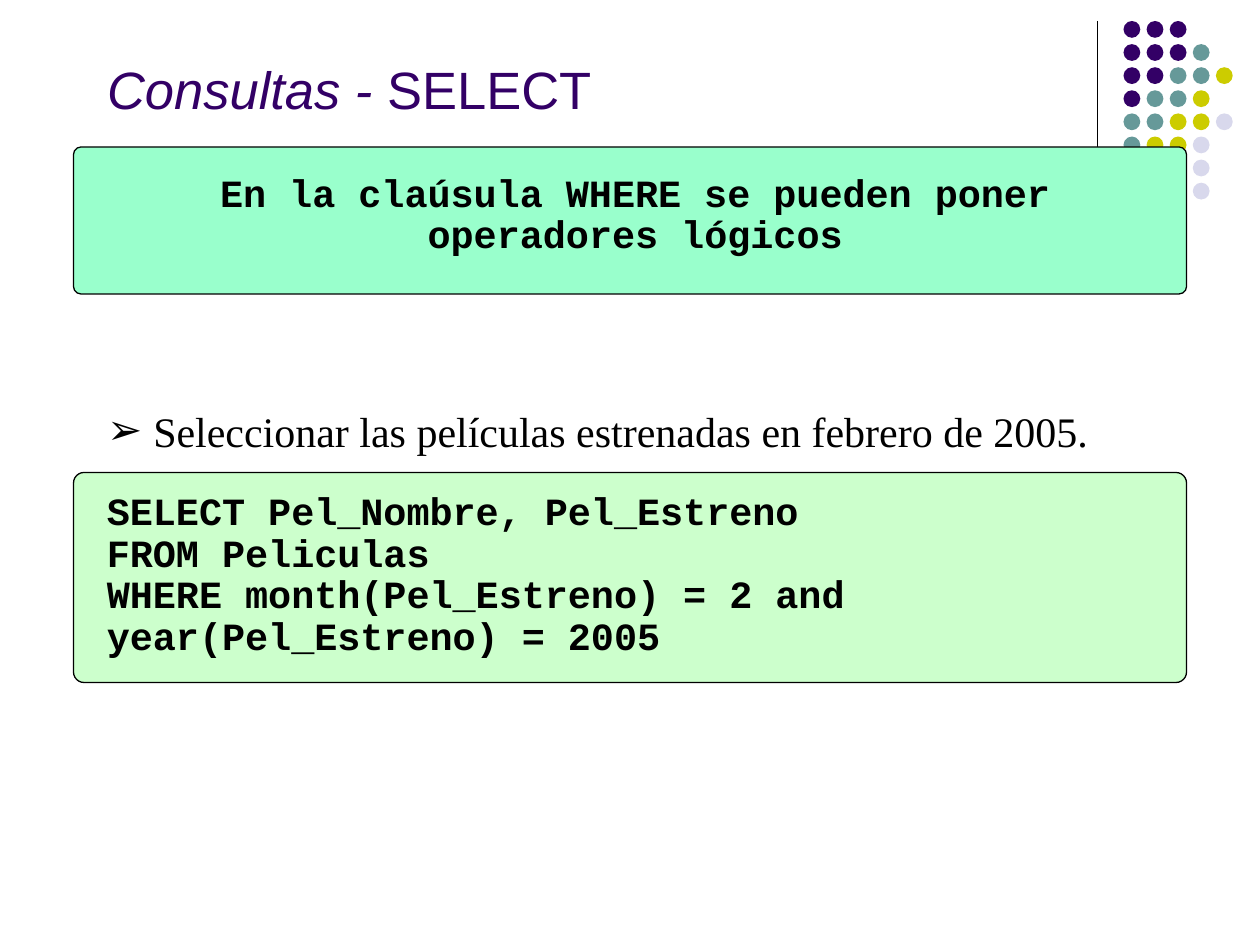
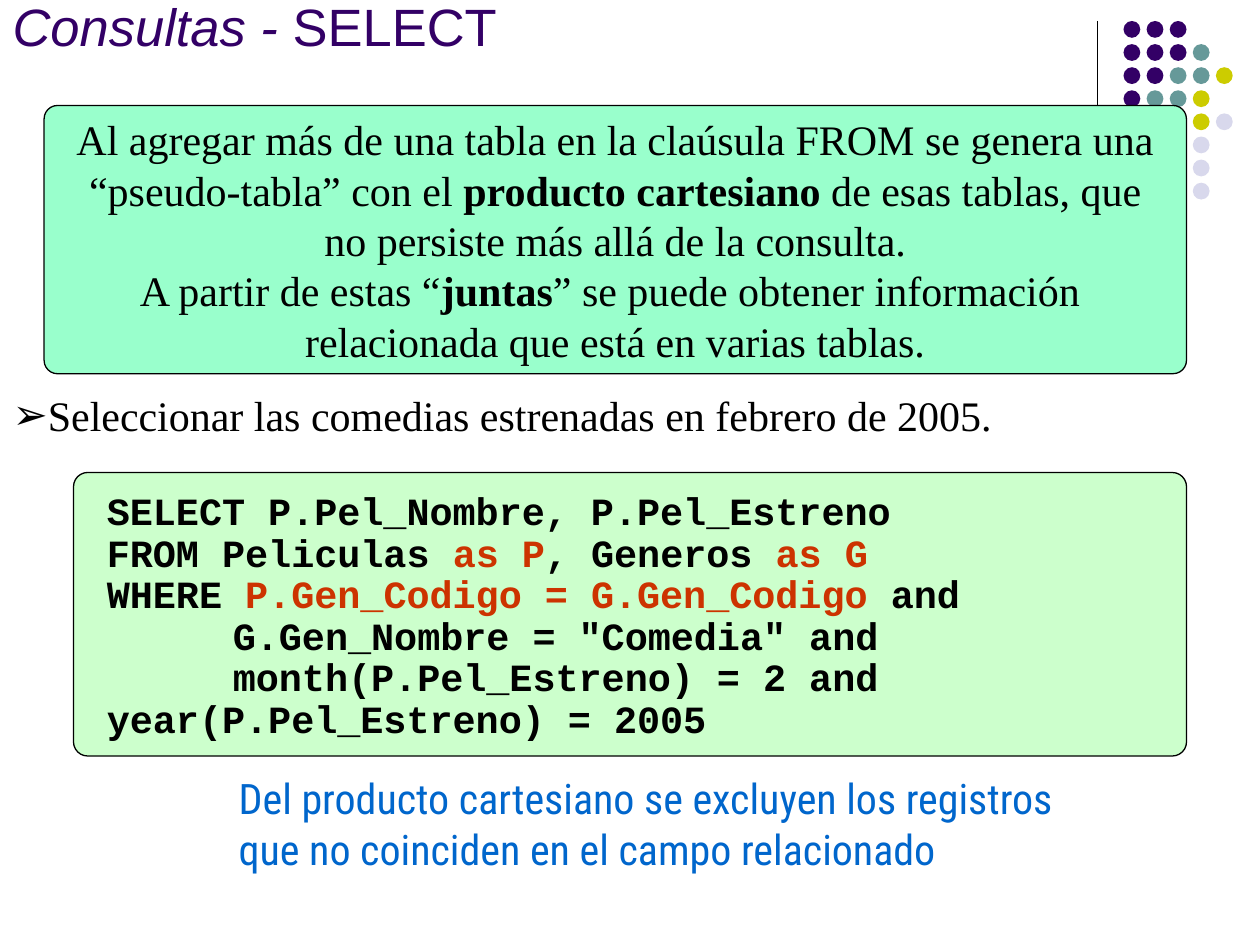
"""Builds two slides about SELECT queries with logical operators and joined tables."""
from lxml.etree import SubElement
from pptx import Presentation
from pptx.dml.color import RGBColor
from pptx.enum.shapes import MSO_CONNECTOR as Connector, MSO_SHAPE as Shape
from pptx.enum.text import MSO_ANCHOR as Anchor, MSO_AUTO_SIZE as AutoSize, PP_ALIGN as Align
from pptx.oxml.ns import qn
from pptx.util import Emu, Pt

PURPLE = RGBColor(0x33, 0x00, 0x66)
TEAL = RGBColor(0x66, 0x99, 0x99)
OLIVE = RGBColor(0xCC, 0xCC, 0x00)
LILAC = RGBColor(0xD8, 0xD8, 0xEC)
MINT = RGBColor(0x99, 0xFF, 0xCC)
PALE_GREEN = RGBColor(0xCC, 0xFF, 0xCC)
RED = RGBColor(0xCC, 0x33, 0x00)
BLUE = RGBColor(0x00, 0x66, 0xCC)
BLACK = RGBColor(0, 0, 0)

PX_PER_INCH = 240
SHARED_DOTS = ["PPP", "PPPT", "PPTTY", "PTTY", "   YL", "   L", "   L", "   L"]
DOT_COLORS = {"P": PURPLE, "T": TEAL, "Y": OLIVE, "L": LILAC}
DOT_LEFT, DOT_TOP, DOT_PITCH, DOT_SIZE = 2140, 40, 44, 32
RULE = (2090, 40, 2090, 440)

TITLE_STYLE = {"name": "Arial", "size": 30, "color": PURPLE}
PROSE = {"name": "Times New Roman", "size": 24, "color": BLACK}
CODE = {"name": "Courier New", "size": 22, "color": BLACK, "bold": True, "spacing": 0.9}
CODE_CENTERED = CODE | {"align": Align.CENTER}
PROSE_CENTERED = PROSE | {"align": Align.CENTER}
NOTE = {"name": "Roboto Condensed", "size": 24, "color": BLUE}
BOLD = {"bold": True}
HIGHLIGHT = {"color": RED}

TITLE = [[("Consultas - ", {"italic": True}), ("SELECT", {})]]

PAGES = [
    {
        "extra_dots": ["", "", "", "", "TTY", "TYY"],
        "title_at": (180, 120, 2040, 120),
        "task_at": (180, 760, 2040, 120),
        "task_indent": 88,
        "task": "Seleccionar las películas estrenadas en febrero de 2005.",
        "panels": [
            ((140, 280, 2120, 280), MINT, []),
            ((140, 900, 2120, 400), PALE_GREEN, []),
        ],
        "texts": [
            ((180, 320, 2060, 182), CODE_CENTERED, [
                "En la claúsula WHERE se pueden poner operadores lógicos",
            ]),
            ((180, 926, 2060, 341), CODE, [
                "SELECT Pel_Nombre, Pel_Estreno",
                "FROM Peliculas",
                "WHERE month(Pel_Estreno) = 2 and \tyear(Pel_Estreno) = 2005",
            ]),
        ],
    },
    {
        "extra_dots": [],
        "title_at": (0, 0, 2040, 120),
        "task_at": (0, 730, 2040, 120),
        "task_indent": 67,
        "task": "Seleccionar las comedias estrenadas en febrero de 2005.",
        "panels": [
            ((140, 900, 2120, 540), PALE_GREEN, []),
            ((84, 201, 2176, 511), MINT, [[
                ("Al agregar más de una tabla en la claúsula FROM se genera una\n"
                 "“pseudo-tabla” con el ", {}),
                ("producto cartesiano", BOLD),
                (" de esas tablas, que\nno persiste más allá de la consulta.\n"
                 "A partir de estas “", {}),
                ("juntas", BOLD),
                ("” se puede obtener información \n"
                 "relacionada que está en varias tablas.", {}),
            ]]),
        ],
        "texts": [
            ((180, 926, 2060, 578), CODE, [
                "SELECT P.Pel_Nombre, P.Pel_Estreno",
                [("FROM Peliculas ", {}), ("as P", HIGHLIGHT),
                 (", Generos ", {}), ("as G", HIGHLIGHT)],
                [("WHERE ", {}), ("P.Gen_Codigo = G.Gen_Codigo", HIGHLIGHT), (" and", {})],
                "\tG.Gen_Nombre = \"Comedia\" and",
                "\tmonth(P.Pel_Estreno) = 2 and \tyear(P.Pel_Estreno) = 2005",
            ]),
            ((431, 1460, 1640, 259), NOTE, [
                "Del producto cartesiano se excluyen los registros",
                "que no coinciden en el campo relacionado",
            ]),
        ],
    },
]


def px(length):
    return Emu(round(length * 914400 / PX_PER_INCH))


def place(box, rect):
    box.left, box.top, box.width, box.height = map(px, rect)


def add_tabs(para):
    tabs = SubElement(para._p.get_or_add_pPr(), qn("a:tabLst"))
    for inch in range(1, 8):
        SubElement(tabs, qn("a:tab"), pos=str(px(inch * PX_PER_INCH)), algn="l")


def add_bullet(para, indent):
    properties = para._p.get_or_add_pPr()
    properties.set("marL", str(px(indent)))
    properties.set("indent", str(-px(indent)))
    color = SubElement(properties, qn("a:buClr"))
    SubElement(color, qn("a:srgbClr"), val=str(BLACK))
    SubElement(properties, qn("a:buChar"), char="➢")


def add_span(para, text, style):
    for index, line in enumerate(text.split("\n")):
        if index:
            para.add_line_break()
        span = para.add_run()
        span.text = line
        font = span.font
        font.name, font.size = style["name"], Pt(style["size"])
        font.bold, font.italic = style.get("bold", False), style.get("italic", False)
        font.color.rgb = style["color"]


def write(frame, paragraphs, style, anchor=Anchor.TOP, wrap=True, bullet_indent=None):
    frame.word_wrap = wrap
    frame.auto_size = AutoSize.NONE
    frame.vertical_anchor = anchor
    for index, spans in enumerate(paragraphs):
        para = frame.add_paragraph() if index else frame.paragraphs[0]
        if bullet_indent is None:
            add_tabs(para)
        else:
            add_bullet(para, bullet_indent)
        para.alignment = style.get("align", Align.LEFT)
        para.line_spacing = style.get("spacing", 1.0)
        para.space_before = Pt(0)
        for text, change in [(spans, {})] if isinstance(spans, str) else spans:
            add_span(para, text, style | change)


def add_filled(page, kind, rect, color):
    box = page.shapes.add_shape(kind, *map(px, rect))
    box.shadow.inherit = False
    box.fill.solid()
    box.fill.fore_color.rgb = color
    return box


def add_dots(page, rows):
    dots = []
    for row, letters in enumerate(rows):
        for column, letter in enumerate(letters):
            if letter in DOT_COLORS:
                rect = (DOT_LEFT + column * DOT_PITCH, DOT_TOP + row * DOT_PITCH,
                        DOT_SIZE, DOT_SIZE)
                dot = add_filled(page, Shape.OVAL, rect, DOT_COLORS[letter])
                dot.line.fill.background()
                dots.append(dot)
    return dots


def decorate(layout, page):
    tree = layout.element.cSld.spTree
    for footer in list(layout.placeholders)[2:]:
        tree.remove(footer.element)
    rule = page.shapes.add_connector(Connector.STRAIGHT, *map(px, RULE))
    rule.line.color.rgb, rule.line.width = BLACK, Pt(0.75)
    SubElement(rule.element.spPr, qn("a:effectLst"))
    for part in [rule] + add_dots(page, SHARED_DOTS):
        tree.append(part.element)


def add_panel(page, rect, color, paragraphs):
    panel = add_filled(page, Shape.ROUNDED_RECTANGLE, rect, color)
    panel.adjustments[0] = 0.05
    panel.line.color.rgb, panel.line.width = BLACK, Pt(0.75)
    if paragraphs:
        write(panel.text_frame, paragraphs, PROSE_CENTERED, Anchor.MIDDLE, wrap=False)


def build_page(page, content):
    add_dots(page, content["extra_dots"])
    title, task = page.shapes.title, page.placeholders[1]
    place(title, content["title_at"])
    write(title.text_frame, TITLE, TITLE_STYLE, Anchor.BOTTOM)
    place(task, content["task_at"])
    write(task.text_frame, [content["task"]], PROSE, bullet_indent=content["task_indent"])
    for panel in content["panels"]:
        add_panel(page, *panel)
    for rect, style, paragraphs in content["texts"]:
        box = page.shapes.add_textbox(*map(px, rect))
        write(box.text_frame, paragraphs, style)


def main():
    deck = Presentation()
    deck.slide_width, deck.slide_height = px(2400), px(1800)
    layout = deck.slide_layouts[1]
    for index, content in enumerate(PAGES):
        page = deck.slides.add_slide(layout)
        if index == 0:
            decorate(layout, page)
        build_page(page, content)
    deck.save("out.pptx")


if __name__ == "__main__":
    main()
